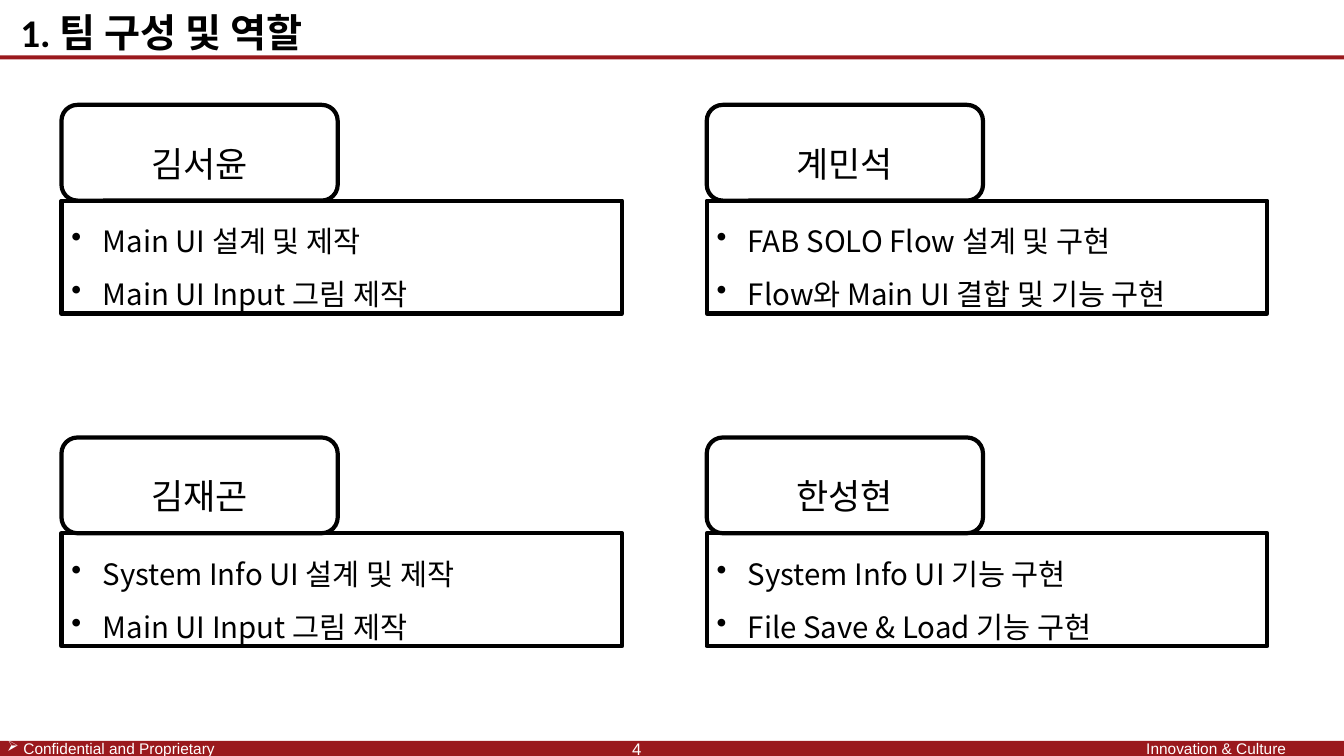
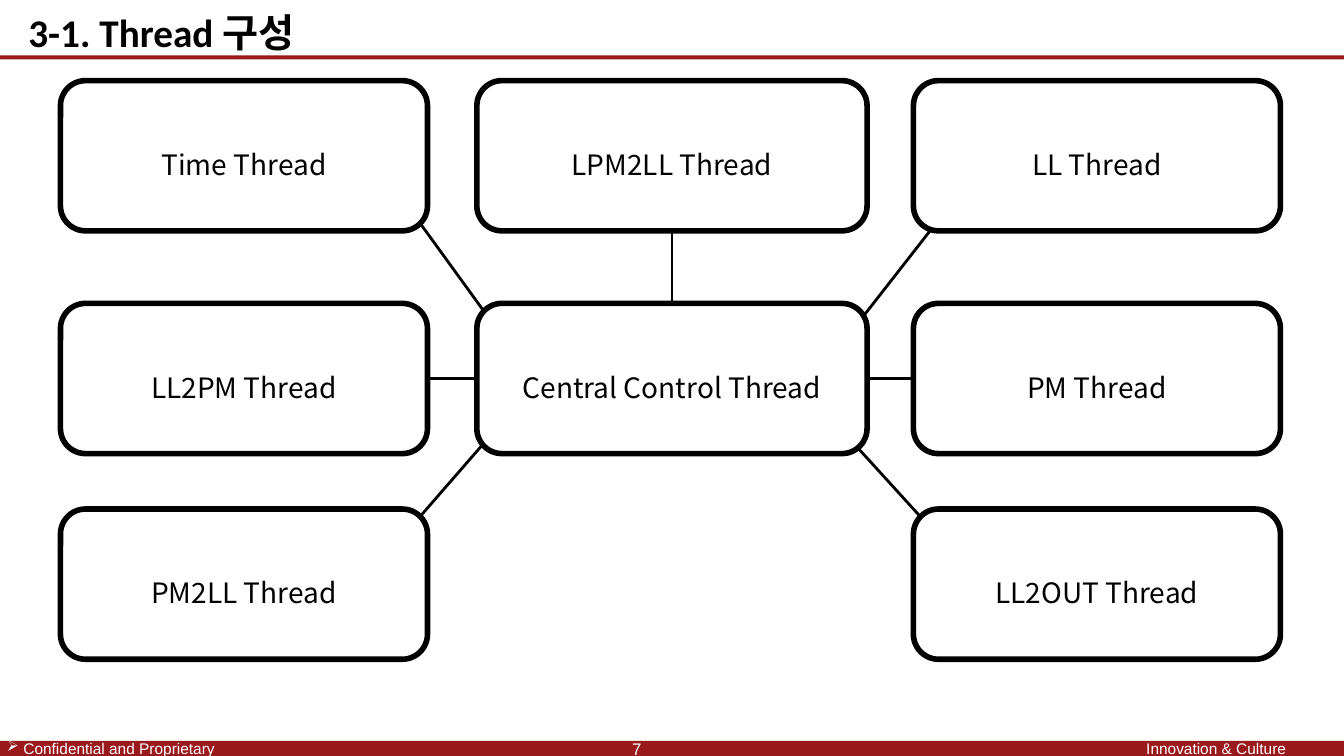
from lxml.etree import SubElement
from pptx import Presentation
from pptx.dml.color import RGBColor
from pptx.enum.shapes import MSO_CONNECTOR as Connector, MSO_SHAPE as Shape
from pptx.enum.text import MSO_ANCHOR as Anchor, MSO_AUTO_SIZE as AutoSize, PP_ALIGN as Align
from pptx.oxml.ns import qn
from pptx.util import Inches, Pt

RED, BLACK, WHITE = "9A191D", "000000", "FFFFFF"
BODY_FONT, TITLE_FONT, FOOTER_FONT = "Noto Sans CJK KR", "Calibri", "Arial"
WIDTH, HEIGHT = 13.33, 7.5
TOP, LEFT, RIGHT = 0, 1, 3  # connection sites of a box


def color(value):
    return RGBColor.from_string(value)


def inches(*lengths):
    return [Inches(length) for length in lengths]


def add_bullet(para, char, indent=0):
    """Give a paragraph a bullet with a hanging indent in inches."""
    props = para._p.get_or_add_pPr()
    props.set("marL", str(Inches(indent)))
    props.set("indent", str(-Inches(indent)))
    SubElement(props, qn("a:buChar"), char=char)


class SlideWriter:
    def __init__(self):
        self.deck = Presentation()
        self.deck.slide_width, self.deck.slide_height = inches(WIDTH, HEIGHT)
        self.page = None

    def add_page(self, title, number):
        self.page = self.deck.slides.add_slide(self.deck.slide_layouts[5])
        self.title(title)
        self.band(7.35, 0.16)
        self.band(0.55, 0.04)
        note = self.footer(" Confidential and Proprietary", -0.03, 7.32, 8.28)
        add_bullet(note.text_frame.paragraphs[0], "➢")
        self.footer("Innovation & Culture", 11.27, 7.32, 2.69)
        self.footer(str(number), 6.17, 7.28, 2.89, size=12, inset=0.05)

    def style(self, frame, size, font, ink=BLACK, bold=False, align=Align.LEFT, spacing=1):
        for para in frame.paragraphs:
            para.alignment = align
            para.line_spacing = spacing
            for span in para.runs:
                span.font.size = Pt(size)
                span.font.name = font
                span.font.bold = bold
                span.font.color.rgb = color(ink)
                latin = span._r.rPr.find(qn("a:latin"))
                east_asian = latin.makeelement(qn("a:ea"), typeface=BODY_FONT)
                latin.addnext(east_asian)

    def title(self, text):
        box = self.page.shapes.title
        box.left, box.top, box.width, box.height = inches(0, 0.03, 3.2, 0.56)
        frame = box.text_frame
        frame.text = text
        frame.word_wrap = False
        frame.auto_size = AutoSize.NONE
        frame.vertical_anchor = Anchor.TOP
        self.style(frame, 28, TITLE_FONT, bold=True, align=Align.CENTER)

    def band(self, top, height):
        bar = self.page.shapes.add_shape(Shape.RECTANGLE, *inches(0, top, WIDTH, height))
        bar.shadow.inherit = False
        bar.fill.solid()
        bar.fill.fore_color.rgb = color(RED)
        bar.line.fill.background()

    def footer(self, text, left, top, width, size=11, inset=0.01):
        box = self.page.shapes.add_textbox(*inches(left, top, width, 0.21))
        frame = box.text_frame
        frame.word_wrap = True
        frame.margin_top = frame.margin_bottom = Inches(inset)
        frame.text = text
        self.style(frame, size, FOOTER_FONT, ink=WHITE)
        return box

    def box(self, kind, text, place, size, line_width, fill=None, align=Align.CENTER):
        box = self.page.shapes.add_shape(kind, *inches(*place))
        box.shadow.inherit = False
        if fill:
            box.fill.solid()
            box.fill.fore_color.rgb = color(fill)
        else:
            box.fill.background()
        box.line.color.rgb = color(BLACK)
        box.line.width = Pt(line_width)
        box.text_frame.text = text
        self.style(box.text_frame, size, BODY_FONT, align=align, spacing=1.5)
        return box

    def member(self, name, tasks, left, top):
        """Add a name tab with the list of tasks below it."""
        self.box(Shape.ROUNDED_RECTANGLE, name, (left, top, 2.74, 0.95), 25, 3)
        panel = self.box(Shape.RECTANGLE, "\n".join(tasks), (left, top + 0.95, 5.56, 1.12),
                         21, 3, align=Align.LEFT)
        panel.text_frame.vertical_anchor = Anchor.TOP
        for para in panel.text_frame.paragraphs:
            add_bullet(para, "•", 0.31)

    def thread(self, name, left, top, width):
        return self.box(Shape.ROUNDED_RECTANGLE, f"{name} Thread", (left, top, width, 1.49),
                        20, 4, fill=WHITE)

    def line(self, start=(0, 0), end=(0, 0)):
        line = self.page.shapes.add_connector(Connector.STRAIGHT, *inches(*start, *end))
        line.line.color.rgb = color(BLACK)
        line.line.width = Pt(2)
        SubElement(line._element.spPr, qn("a:effectLst"))
        return line

    def join(self, first, first_site, second, second_site):
        line = self.line()
        line.begin_connect(first, first_site)
        line.end_connect(second, second_site)


def add_team_page(writer):
    writer.add_page("1. 팀 구성 및 역할", 4)
    members = [
        ("김서윤", ["Main UI 설계 및 제작", "Main UI Input 그림 제작"]),
        ("계민석", ["FAB SOLO Flow 설계 및 구현", "Flow와 Main UI 결합 및 기능 구현"]),
        ("김재곤", ["System Info UI 설계 및 제작", "Main UI Input 그림 제작"]),
        ("한성현", ["System Info UI 기능 구현", "File Save & Load 기능 구현"]),
    ]
    for index, (name, tasks) in enumerate(members):
        row, column = divmod(index, 2)
        writer.member(name, tasks, 0.61 + 6.4 * column, 1.04 + 3.3 * row)


def add_thread_page(writer):
    writer.add_page("3-1. Thread 구성", 7)
    diagonals = [
        ((4.91, 4.27), (4.04, 5.27)),
        ((8.35, 4.27), (9.26, 5.27)),
        ((8.35, 3.41), (9.42, 2.04)),
        ((4.91, 3.24), (4.04, 2.04)),
    ]
    for start, end in diagonals:
        writer.line(start, end)

    columns = [(0.6, 3.64), (4.73, 3.87), (9.06, 3.64)]
    rows = [
        (0.8, ["Time", "LPM2LL", "LL"]),
        (3.01, ["LL2PM", "Central Control", "PM"]),
        (5.05, ["PM2LL", None, "LL2OUT"]),
    ]
    threads = {}
    for top, names in rows:
        for name, (left, width) in zip(names, columns):
            if name:
                threads[name] = writer.thread(name, left, top, width)

    center = threads["Central Control"]
    writer.join(center, TOP, threads["LPM2LL"], 2)
    writer.join(threads["LL2PM"], RIGHT, center, LEFT)
    writer.join(center, RIGHT, threads["PM"], LEFT)


def main():
    writer = SlideWriter()
    add_team_page(writer)
    add_thread_page(writer)
    writer.deck.save("out.pptx")


if __name__ == "__main__":
    main()
